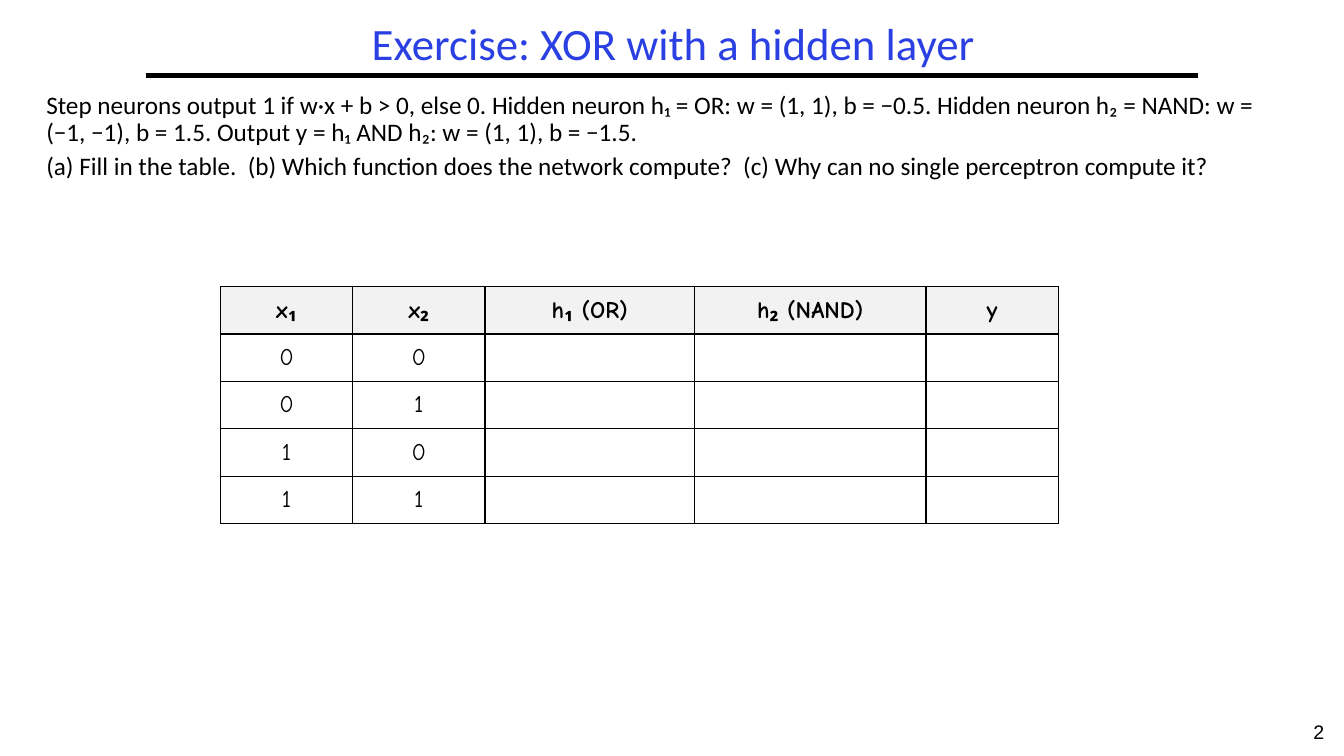
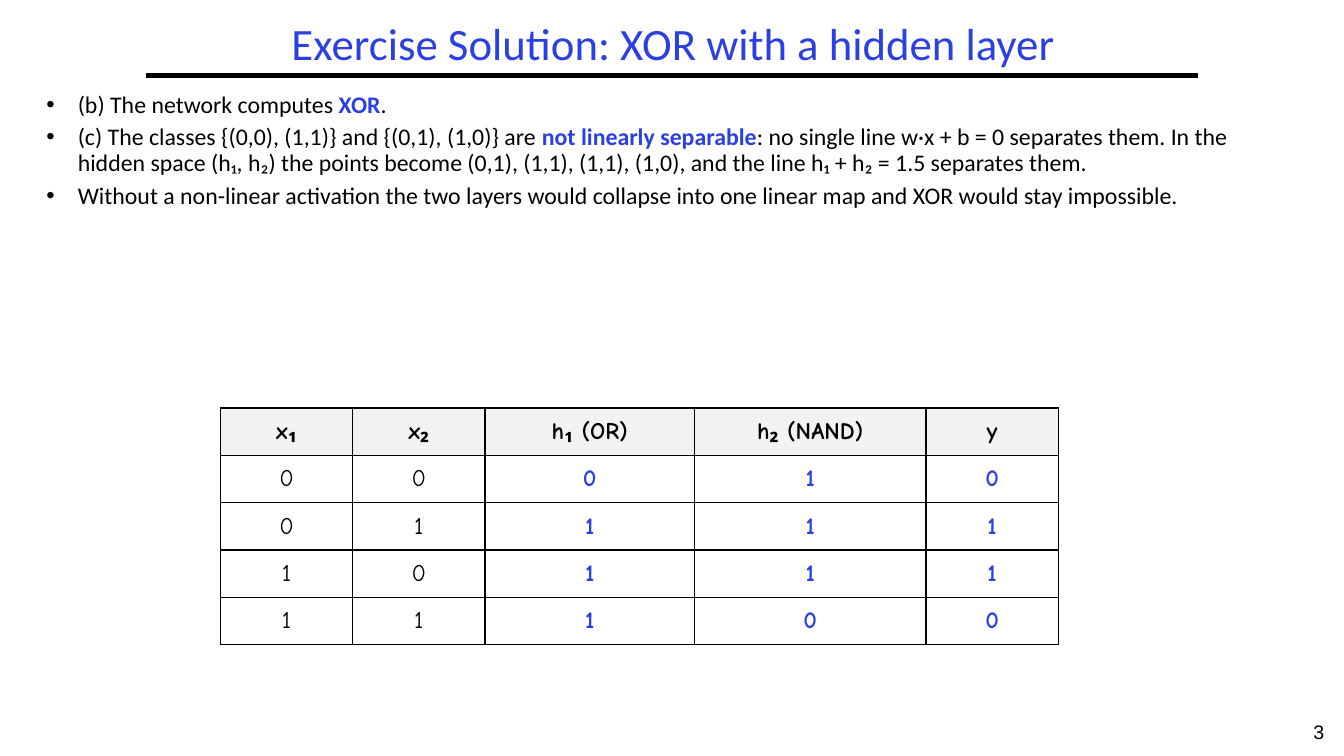
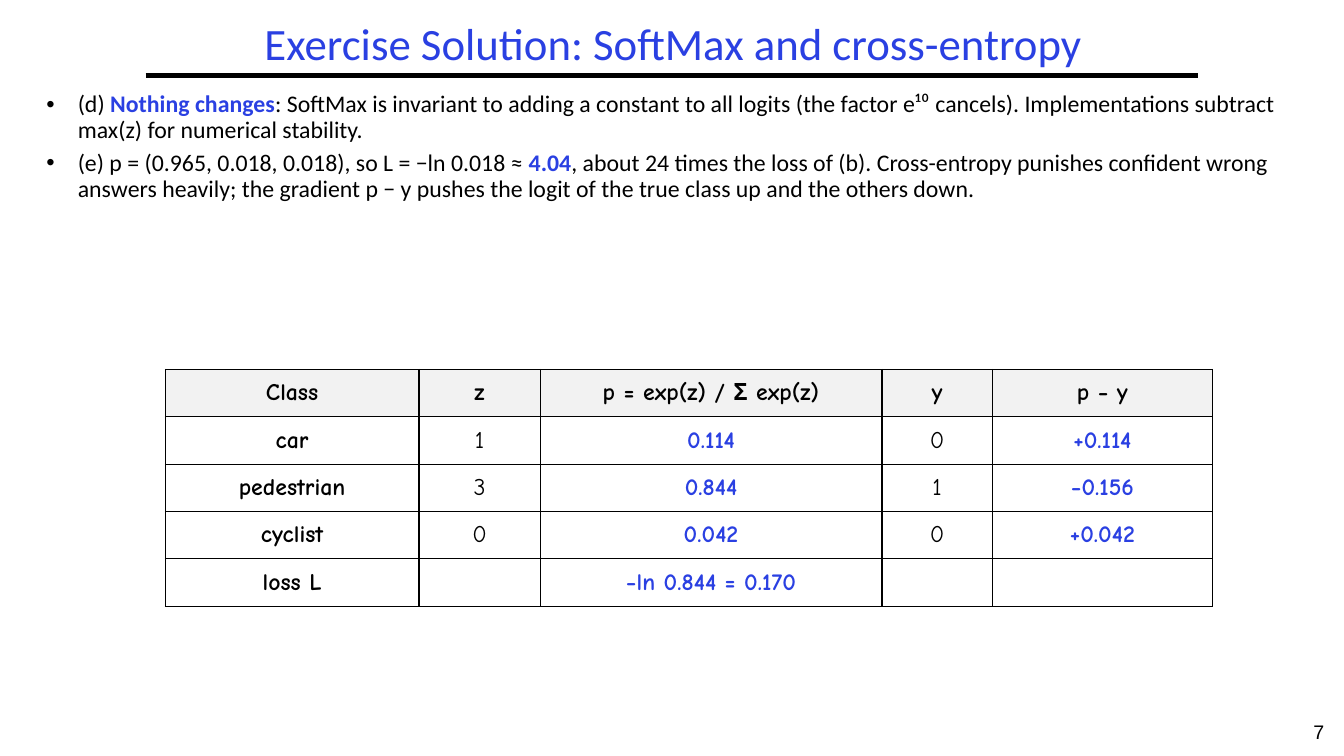
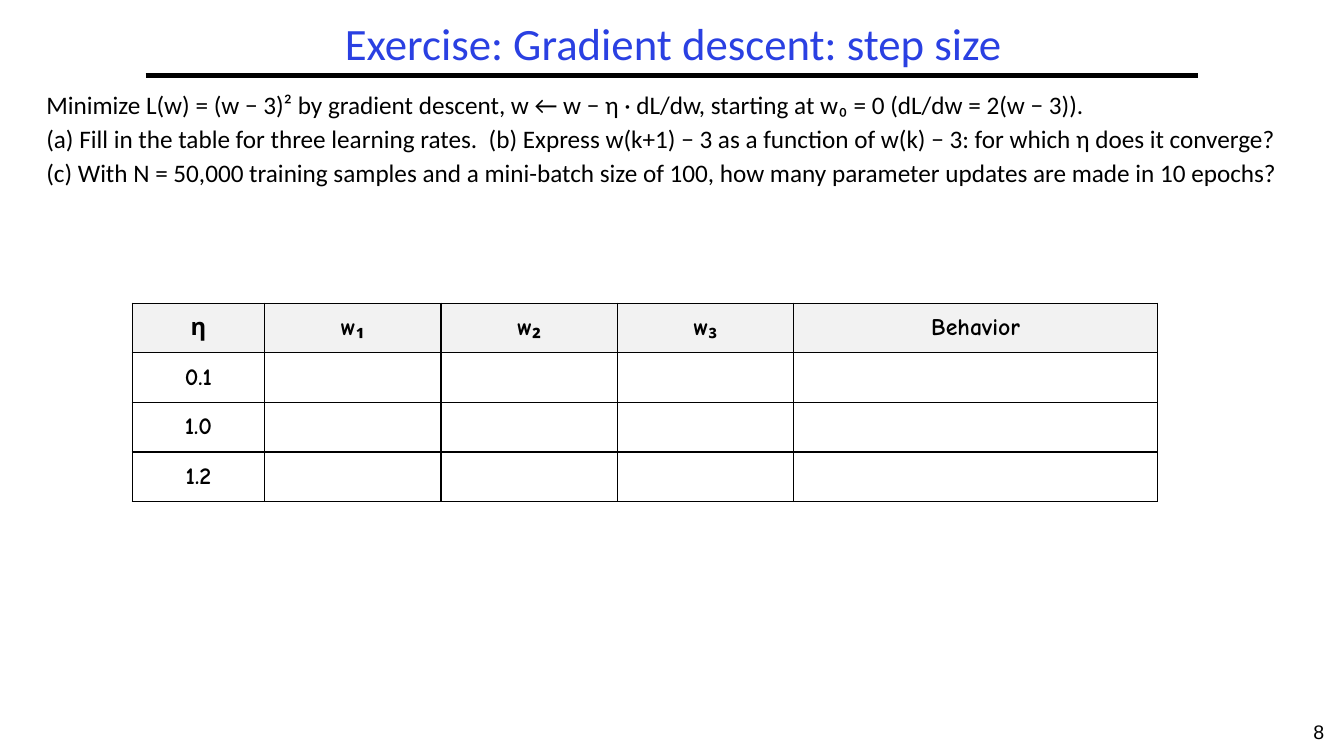
from lxml.etree import SubElement
from pptx import Presentation
from pptx.dml.color import RGBColor
from pptx.enum.shapes import MSO_CONNECTOR as Connector
from pptx.enum.text import MSO_ANCHOR as Anchor, PP_ALIGN as Align
from pptx.oxml import parse_xml
from pptx.oxml.ns import nsdecls, qn
from pptx.util import Pt

BLUE = RGBColor(0x2A, 0x40, 0xE2)
BLACK = RGBColor(0, 0, 0)
HEADER_GRAY = RGBColor(0xF2, 0xF2, 0xF2)

FORMATS = {
    "title": {"name": "Calibri", "size": Pt(32), "color": BLUE},
    "question": {"name": "Calibri", "size": Pt(18), "color": BLACK},
    "solution": {"name": "Calibri", "size": Pt(17), "color": BLACK},
    "highlight": {"name": "Calibri", "size": Pt(17), "color": BLUE, "bold": True},
    "number": {"name": "Arial", "size": Pt(14), "color": BLACK},
    "label": {"name": "Comic Neue", "size": Pt(17), "color": BLACK, "bold": True},
    "given": {"name": "Comic Neue", "size": Pt(17), "color": BLACK, "bold": False},
    "answer": {"name": "Comic Neue", "size": Pt(17), "color": BLUE, "bold": True},
}

GRID = 78.75
BULLET_INDENT = Pt(22.5)
PARAGRAPH_GAP = Pt(5)

XOR_HEADER = ["x₁", "x₂", "h₁ (OR)", "h₂ (NAND)", "y"]
XOR_INPUTS = [["0", "0"], ["0", "1"], ["1", "0"], ["1", "1"]]
XOR_OUTPUTS = [["0", "1", "0"], ["1", "1", "1"], ["1", "1", "1"], ["1", "0", "0"]]
XOR_TABLE = {
    "left": 2,
    "columns": [1.2, 1.2, 1.9, 2.1, 1.2],
    "row_height": 0.43,
    "styles": ["given", "given", "answer", "answer", "answer"],
}

PAGES = [
    {
        "number": 2,
        "title": "Exercise: XOR with a hidden layer",
        "style": "question",
        "body_height": 134,
        "body": [
            ["Step neurons output 1 if w·x + b > 0, else 0. Hidden neuron h₁ = OR: w = (1, 1), b = −0.5. "
             "Hidden neuron h₂ = NAND: w = (−1, −1), b = 1.5. Output y = h₁ AND h₂: w = (1, 1), b = −1.5."],
            ["(a) Fill in the table.  (b) Which function does the network compute?  "
             "(c) Why can no single perceptron compute it?"],
        ],
        "table": {**XOR_TABLE, "top": 2.6, "rows": [XOR_HEADER, *XOR_INPUTS]},
    },
    {
        "number": 3,
        "title": "Exercise Solution: XOR with a hidden layer",
        "style": "solution",
        "body_height": 220,
        "body": [
            ["(b) The network computes ", "XOR", "."],
            ["(c) The classes {(0,0), (1,1)} and {(0,1), (1,0)} are ", "not linearly separable",
             ": no single line w·x + b = 0 separates them. In the hidden space (h₁, h₂) the points become "
             "(0,1), (1,1), (1,1), (1,0), and the line h₁ + h₂ = 1.5 separates them."],
            ["Without a non-linear activation the two layers would collapse into one linear map "
             "and XOR would stay impossible."],
        ],
        "table": {
            **XOR_TABLE,
            "top": 3.7,
            "rows": [XOR_HEADER] + [given + found for given, found in zip(XOR_INPUTS, XOR_OUTPUTS)],
        },
    },
    {
        "number": 7,
        "title": "Exercise Solution: SoftMax and cross-entropy",
        "style": "solution",
        "body_height": 197,
        "body": [
            ["(d) ", "Nothing changes",
             ": SoftMax is invariant to adding a constant to all logits (the factor e¹⁰ cancels). "
             "Implementations subtract max(z) for numerical stability."],
            ["(e) p = (0.965, 0.018, 0.018), so L = −ln 0.018 ≈ ", "4.04",
             ", about 24 times the loss of (b). Cross-entropy punishes confident wrong answers heavily; "
             "the gradient p − y pushes the logit of the true class up and the others down."],
        ],
        "table": {
            "left": 1.5,
            "top": 3.35,
            "columns": [2.3, 1.1, 3.1, 1, 2],
            "row_height": 0.43,
            "styles": ["label", "given", "answer", "given", "answer"],
            "rows": [
                ["Class", "z", "p = exp(z) / Σ exp(z)", "y", "p − y"],
                ["car", "1", "0.114", "0", "+0.114"],
                ["pedestrian", "3", "0.844", "1", "−0.156"],
                ["cyclist", "0", "0.042", "0", "+0.042"],
                ["loss L", "", "−ln 0.844 = 0.170"],
            ],
        },
    },
    {
        "number": 8,
        "title": "Exercise: Gradient descent: step size",
        "style": "question",
        "body_height": 150,
        "body": [
            ["Minimize L(w) = (w − 3)² by gradient descent, w ← w − η · dL/dw, "
             "starting at w₀ = 0 (dL/dw = 2(w − 3))."],
            ["(a) Fill in the table for three learning rates.  "
             "(b) Express w(k+1) − 3 as a function of w(k) − 3: for which η does it converge?"],
            ["(c) With N = 50,000 training samples and a mini-batch size of 100, "
             "how many parameter updates are made in 10 epochs?"],
        ],
        "table": {
            "left": 1.2,
            "top": 2.75,
            "columns": [1.2, 1.6, 1.6, 1.6, 3.3],
            "row_height": 0.45,
            "styles": ["label", "answer", "answer", "answer", "answer"],
            "rows": [["η", "w₁", "w₂", "w₃", "Behavior"], ["0.1"], ["1.0"], ["1.2"]],
        },
    },
]


def add_span(para, text, style):
    span = para.add_run()
    span.text = text
    for key, value in FORMATS[style].items():
        if key == "color":
            span.font.color.rgb = value
        else:
            setattr(span.font, key, value)


def add_box(page, left, top, width, height):
    box = page.shapes.add_textbox(Pt(left), Pt(top), Pt(width), Pt(height))
    box.text_frame.word_wrap = True
    return box.text_frame


def add_line_of_text(page, place, text, style):
    frame = add_box(page, *place)
    frame.vertical_anchor = Anchor.MIDDLE if style == "title" else Anchor.TOP
    para = frame.paragraphs[0]
    para.alignment = Align.CENTER
    if style == "title":
        para.line_spacing = 0.9
    add_span(para, text, style)


def add_bullet(para):
    properties = para._p.get_or_add_pPr()
    properties.set("marL", str(BULLET_INDENT))
    properties.set("indent", str(-BULLET_INDENT))
    SubElement(properties, qn("a:buFont"), typeface="Arial")
    SubElement(properties, qn("a:buChar"), char="•")


def add_frame(page, title, number):
    rule = page.shapes.add_connector(Connector.STRAIGHT, Pt(104), Pt(54), Pt(856), Pt(54))
    rule.line.color.rgb = BLACK
    rule.line.width = Pt(3)
    SubElement(rule._element.spPr, qn("a:effectLst"))
    add_line_of_text(page, (924, 511, 36, 29), str(number), "number")
    add_line_of_text(page, (104, 12, 754, 42), title, "title")


def add_body(page, paragraphs, style, height):
    frame = add_box(page, 26, 62.5, 906, height)
    for index, spans in enumerate(paragraphs):
        para = frame.add_paragraph() if index else frame.paragraphs[0]
        para.line_spacing = 0.9
        if index:
            para.space_before = PARAGRAPH_GAP
        if style == "solution":
            add_bullet(para)
        for position, text in enumerate(spans):
            add_span(para, text, "highlight" if position % 2 else style)


def add_borders(cell):
    properties = cell._tc.get_or_add_tcPr()
    for index, side in enumerate(("lnL", "lnR", "lnT", "lnB")):
        properties.insert(index, parse_xml(
            f'<a:{side} {nsdecls("a")} w="{Pt(1)}"><a:solidFill>'
            f'<a:srgbClr val="{BLACK}"/></a:solidFill></a:{side}>'))


def add_grid(page, left, top, columns, row_height, styles, rows):
    table = page.shapes.add_table(
        len(rows), len(columns), Pt(left * GRID), Pt(top * GRID),
        Pt(sum(columns) * GRID), Pt(len(rows) * row_height * GRID)).table
    table.horz_banding = False
    for column, width in zip(table.columns, columns):
        column.width = Pt(width * GRID)
    for row_index, (row, texts) in enumerate(zip(table.rows, rows)):
        row.height = Pt(row_height * GRID)
        for column_index, cell in enumerate(row.cells):
            cell.vertical_anchor = Anchor.MIDDLE
            cell.margin_left = cell.margin_right = Pt(5)
            cell.margin_top = cell.margin_bottom = Pt(2)
            if row_index:
                cell.fill.background()
            else:
                cell.fill.solid()
                cell.fill.fore_color.rgb = HEADER_GRAY
            add_borders(cell)
            if column_index < len(texts) and texts[column_index]:
                para = cell.text_frame.paragraphs[0]
                para.alignment = Align.CENTER
                add_span(para, texts[column_index], styles[column_index] if row_index else "label")


def main():
    deck = Presentation()
    deck.slide_width, deck.slide_height = Pt(960), Pt(540)
    for content in PAGES:
        page = deck.slides.add_slide(deck.slide_layouts[6])
        add_frame(page, content["title"], content["number"])
        add_body(page, content["body"], content["style"], content["body_height"])
        add_grid(page, **content["table"])
    deck.save("out.pptx")


if __name__ == "__main__":
    main()
